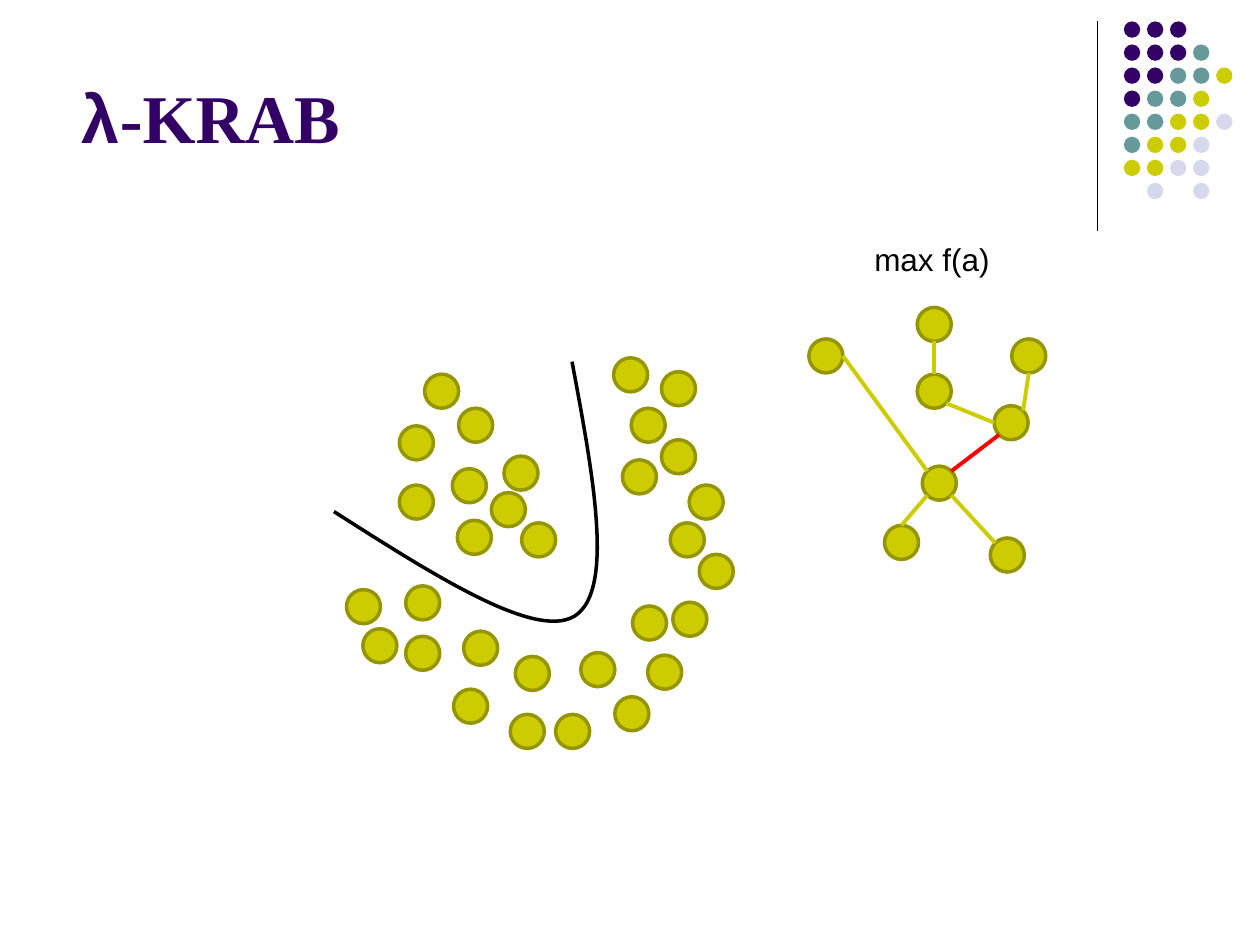
from math import cos, radians, sin

from lxml.etree import SubElement
from pptx import Presentation
from pptx.dml.color import RGBColor
from pptx.enum.shapes import MSO_CONNECTOR as CXN, MSO_SHAPE as SHP
from pptx.enum.text import MSO_ANCHOR, MSO_AUTO_SIZE, PP_ALIGN
from pptx.oxml.ns import qn
from pptx.util import Inches, Pt

BLACK = RGBColor(0x00, 0x00, 0x00)
PURPLE = RGBColor(0x33, 0x00, 0x66)
TEAL = RGBColor(0x66, 0x99, 0x99)
YELLOW = RGBColor(0xCC, 0xCC, 0x00)
OLIVE = RGBColor(0x95, 0x95, 0x00)
LAVENDER = RGBColor(0xD8, 0xD8, 0xEC)
RED = RGBColor(0xFF, 0x00, 0x00)

DOT_COLORS = {"P": PURPLE, "T": TEAL, "Y": YELLOW, "L": LAVENDER}
DOT_ROWS = ["PPP", "PPPT", "PPTTY", "PTTY", "TTYYL", "TYYL", "YYLL", ".L.L"]
DOT, DOT_PITCH = 0.13, 0.183
NODE = 0.27

INNER_POINTS = [
    (0.52, 0.54), (0.99, 0.4), (0.52, 1.01), (0.94, 0.88), (1.35, 0.78),
    (0.98, 1.29), (1.49, 1.31), (1.25, 1.07), (0.72, 0.13),
]
OUTER_POINTS = [
    (2.67, 1.31), (2.69, 1.94), (2.6, 0.65), (2.23, 2.69), (2.49, 2.36),
    (2.37, 1.97), (1.96, 2.34), (1.76, 2.83), (0.57, 1.81), (1.4, 2.83),
    (1.44, 2.37), (0.95, 2.63), (1.03, 2.17), (0.57, 2.21), (2.9, 1.56),
    (0.23, 2.15), (2.82, 1.01), (2.22, 0), (2.29, 0.81), (2.36, 0.4),
    (0.1, 1.84), (2.6, 0.11),
]
BOUNDARY = [
    [(0, 1.22), (0.8, 1.73), (1.6, 2.24), (1.91, 2.05)],
    [(1.91, 2.05), (2.23, 1.85), (2.06, 0.94), (1.89, 0.03)],
]
GRAPH_NODES = {
    "top": (0.86, 0.58), "middle": (0.86, 1.11), "upper right": (1.61, 0.83),
    "left": (0, 0.83), "hub": (0.9, 1.84), "right": (1.47, 1.36),
    "lower left": (0.6, 2.31), "lower right": (1.44, 2.41),
}
SITE_ANGLES = {"E": 0, "SE": 45, "S": 90, "SW": 135, "W": 180, "NW": 225, "N": 270, "NE": 315}
GRAPH_EDGES = [
    ("top", "S", "middle", "N", YELLOW),
    ("left", "E", "hub", "NW", YELLOW),
    ("hub", "SE", "lower right", "NW", YELLOW),
    ("lower left", "N", "hub", "SW", YELLOW),
    ("middle", "SE", "right", "W", YELLOW),
    ("upper right", "S", "right", "NE", YELLOW),
    ("right", "SW", "hub", "NE", RED),
]


def set_attrs(obj, values):
    """Set each named attribute of an object."""
    for name, value in values.items():
        setattr(obj, name, value)


def add_text(p, text, color, **fmt):
    """Add a formatted run to a paragraph."""
    r = p.add_run()
    r.text = text
    set_attrs(r.font, fmt)
    r.font.color.rgb = color


def add_circle(shapes, x, y, size, fill, outline=None):
    """Add a filled circle with an optional outline."""
    sp = shapes.add_shape(SHP.OVAL, Inches(x), Inches(y), Inches(size), Inches(size))
    sp.shadow.inherit = False
    sp.fill.solid()
    sp.fill.fore_color.rgb = fill
    if outline:
        sp.line.color.rgb = outline
        sp.line.width = Pt(2)
    else:
        sp.line.fill.background()


def add_line(shapes, start, end, color, width):
    """Add a straight line between two points."""
    cxn = shapes.add_connector(CXN.STRAIGHT, *map(Inches, (*start, *end)))
    cxn.line.color.rgb = color
    cxn.line.width = Pt(width)
    SubElement(cxn._element.spPr, qn("a:effectLst"))


def bezier(points, steps=30):
    """Return points along a cubic curve."""
    weights = [
        ((1 - t) ** 3, 3 * t * (1 - t) ** 2, 3 * t * t * (1 - t), t ** 3)
        for t in (i / steps for i in range(steps + 1))
    ]
    return [tuple(sum(w * p[axis] for w, p in zip(ws, points)) for axis in (0, 1)) for ws in weights]


def add_decoration(s, x, y):
    """Place the vertical rule and the dot grid."""
    add_line(s.shapes, (x, y), (x, y + 1.66), BLACK, 0.75)
    group = s.shapes.add_group_shape()
    for row, codes in enumerate(DOT_ROWS):
        for col, code in enumerate(codes):
            if code in DOT_COLORS:
                add_circle(group.shapes, x + 0.21 + col * DOT_PITCH, y + row * DOT_PITCH,
                           DOT, DOT_COLORS[code])


def add_title(s, x, y, w, h):
    """Fill and format the title placeholder."""
    sp = s.shapes.title
    set_attrs(sp, dict(left=Inches(x), top=Inches(y), width=Inches(w), height=Inches(h)))
    tf = sp.text_frame
    set_attrs(tf, dict(vertical_anchor=MSO_ANCHOR.BOTTOM, auto_size=MSO_AUTO_SIZE.NONE,
                       word_wrap=True, margin_top=0, margin_bottom=Inches(0.05)))
    p = tf.paragraphs[0]
    p.alignment = PP_ALIGN.LEFT
    for text, font in (("λ", "Arial"), ("-KRAB", "Times New Roman")):
        add_text(p, text, PURPLE, name=font, size=Pt(39), bold=True)


def add_clusters(s, x, y):
    """Place the two point clusters and the curve between them."""
    for dx, dy in INNER_POINTS + OUTER_POINTS:
        add_circle(s.shapes, x + dx, y + dy, NODE, YELLOW, OLIVE)
    first, *rest = [
        (Inches(x + dx), Inches(y + dy)) for part in BOUNDARY for dx, dy in bezier(part)
    ]
    builder = s.shapes.build_freeform(*first)
    builder.add_line_segments(rest, close=False)
    sp = builder.convert_to_shape()
    sp.shadow.inherit = False
    sp.fill.background()
    sp.line.color.rgb = BLACK
    sp.line.width = Pt(2)


def add_graph(s, x, y):
    """Place the labelled tree of nodes and edges."""
    for dx, dy in GRAPH_NODES.values():
        add_circle(s.shapes, x + dx, y + dy, NODE, YELLOW, OLIVE)

    def site(node, side):
        """Return the point on a node's rim at a compass side."""
        dx, dy = GRAPH_NODES[node]
        angle = radians(SITE_ANGLES[side])
        return (x + dx + NODE / 2 * (1 + cos(angle)), y + dy + NODE / 2 * (1 + sin(angle)))

    for start, start_side, end, end_side, color in GRAPH_EDGES:
        add_line(s.shapes, site(start, start_side), site(end, end_side), color, 2.25)
    tf = s.shapes.add_textbox(Inches(x + 0.42), Inches(y), Inches(1.15), Inches(0.4)).text_frame
    set_attrs(tf, dict(word_wrap=True, auto_size=MSO_AUTO_SIZE.NONE))
    add_text(tf.paragraphs[0], "max f(a)", BLACK, name="Arial", size=Pt(18))


def main():
    """Build and save the slide."""
    prs = Presentation()
    set_attrs(prs, dict(slide_width=Inches(10), slide_height=Inches(7.5)))
    s = prs.slides.add_slide(prs.slide_layouts[5])
    add_decoration(s, 8.71, 0.17)
    add_title(s, 0.55, 0.6, 8.25, 0.7)
    add_clusters(s, 2.65, 2.84)
    add_graph(s, 6.42, 1.86)
    prs.save("out.pptx")


if __name__ == "__main__":
    main()
